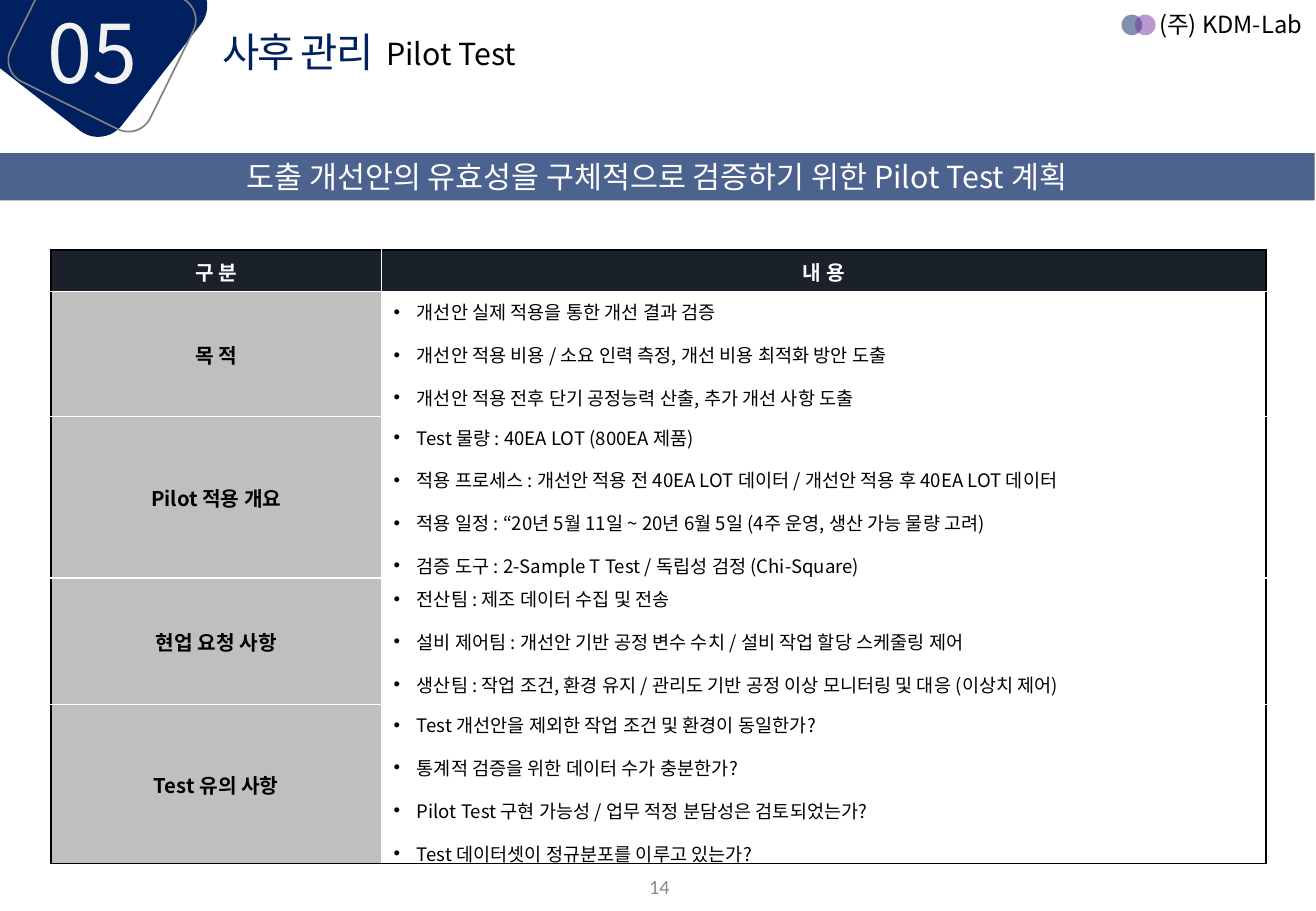
from dataclasses import dataclass

from lxml.etree import SubElement
from pptx import Presentation
from pptx.dml.color import RGBColor
from pptx.enum.shapes import MSO_SHAPE as Shape
from pptx.enum.text import MSO_ANCHOR as Anchor, MSO_AUTO_SIZE as AutoSize, PP_ALIGN as Align
from pptx.oxml.ns import qn
from pptx.util import Inches, Pt


@dataclass(frozen=True)
class Theme:
    font: str = "Noto Sans CJK KR"
    number_font: str = "Calibri"
    navy: str = "002060"
    purple: str = "7030A0"
    header: str = "1B212B"
    label: str = "BFBFBF"
    outline: str = "808080"
    muted: str = "8C8C8C"
    pale: str = "F2F2F2"
    white: str = "FFFFFF"
    black: str = "000000"
    section_size: int = 48
    title_size: int = 24
    subtitle_size: int = 18
    company_size: int = 14
    label_size: int = 12
    body_size: int = 11


class SlideBuilder:
    def __init__(self, slide, theme):
        self.slide = slide
        self.theme = theme

    def add_words(self, paragraph, text, size, color, bold=False, font=None, spacing=None):
        """Add one run with its type style."""
        run = paragraph.add_run()
        run.text = text
        face = font or self.theme.font
        style = {"name": face, "size": Pt(size), "bold": bold}
        for key, value in style.items():
            setattr(run.font, key, value)
        run.font.color.rgb = RGBColor.from_string(color)
        props = run._r.get_or_add_rPr()
        SubElement(props, qn("a:ea")).set("typeface", face)
        if spacing is not None:
            props.set("spc", str(spacing))

    def shape(self, kind, box, fill=None, line=None, alpha=None, rotation=0):
        item = self.slide.shapes.add_shape(kind, *map(Inches, box))
        item.shadow.inherit = False
        item.rotation = rotation
        if fill:
            item.fill.solid()
            item.fill.fore_color.rgb = RGBColor.from_string(fill)
            if alpha:
                color = item._element.spPr.find(".//" + qn("a:srgbClr"))
                SubElement(color, qn("a:alpha")).set("val", str(alpha * 1000))
        else:
            item.fill.background()
        if line:
            item.line.color.rgb = RGBColor.from_string(line)
            item.line.width = Pt(1)
        else:
            item.line.fill.background()
        return item

    def text(self, box, text, size, color, align=Align.LEFT, anchor=Anchor.TOP,
             wrap=True, grow=True, **style):
        frame = self.slide.shapes.add_textbox(*map(Inches, box)).text_frame
        layout = {
            "word_wrap": wrap,
            "vertical_anchor": anchor,
            "auto_size": AutoSize.SHAPE_TO_FIT_TEXT if grow else AutoSize.NONE,
        }
        for key, value in layout.items():
            setattr(frame, key, value)
        frame.paragraphs[0].alignment = align
        self.add_words(frame.paragraphs[0], text, size, color, **style)

    def banner(self, box, text):
        band = self.shape(Shape.RECTANGLE, box, self.theme.navy, alpha=70)
        band.text_frame.vertical_anchor = Anchor.MIDDLE
        paragraph = band.text_frame.paragraphs[0]
        paragraph.alignment = Align.CENTER
        self.add_words(paragraph, text, self.theme.subtitle_size, self.theme.white)

    def cell(self, cell, lines, fill, color, borders, bulleted=False):
        theme = self.theme
        cell.vertical_anchor = Anchor.MIDDLE
        frame = cell.text_frame
        for index, line in enumerate(lines):
            paragraph = frame.add_paragraph() if index else frame.paragraphs[0]
            paragraph.line_spacing = 1.03
            if index:
                paragraph.space_before = Pt(9)
            if bulleted:
                props = paragraph._p.get_or_add_pPr()
                props.set("marL", str(Inches(0.19)))
                props.set("indent", str(Inches(-0.19)))
                SubElement(props, qn("a:buFont")).set("typeface", "Arial")
                SubElement(props, qn("a:buChar")).set("char", "•")
            else:
                paragraph.alignment = Align.CENTER
            size = theme.body_size if bulleted else theme.label_size
            self.add_words(paragraph, line, size, color, bold=not bulleted)
        # Borders must precede the fill in the cell properties
        props = cell._tc.get_or_add_tcPr()
        for side, border in zip(("lnL", "lnR", "lnT", "lnB"), borders):
            edge = SubElement(props, qn("a:" + side), w=str(Pt(1)))
            paint = SubElement(edge, qn("a:solidFill"))
            SubElement(paint, qn("a:srgbClr")).set("val", border)
        if fill:
            cell.fill.solid()
            cell.fill.fore_color.rgb = RGBColor.from_string(fill)
        else:
            cell.fill.background()

    def plan_table(self, box, widths, heights, headings, topics):
        theme = self.theme
        rows = [(headings[0], [headings[1]]), *topics]
        table = self.slide.shapes.add_table(len(rows), 2, *map(Inches, box)).table
        table.horz_banding = False
        for column, width in zip(table.columns, widths):
            column.width = Inches(width)
        for row, height in zip(table.rows, heights):
            row.height = Inches(height)
        for index, (label, details) in enumerate(rows):
            is_header = index == 0
            top = theme.black if is_header else theme.white
            bottom = theme.black if index == len(rows) - 1 else theme.white
            color = theme.white if is_header else theme.black
            self.cell(table.cell(index, 0), [label],
                      theme.header if is_header else theme.label, color,
                      (theme.black, theme.white, top, bottom))
            self.cell(table.cell(index, 1), details,
                      theme.header if is_header else None, color,
                      (theme.white, theme.black, top, bottom), bulleted=not is_header)


TOPICS = [
    ("목 적", [
        "개선안 실제 적용을 통한 개선 결과 검증",
        "개선안 적용 비용 / 소요 인력 측정, 개선 비용 최적화 방안 도출",
        "개선안 적용 전후 단기 공정능력 산출, 추가 개선 사항 도출"]),
    ("Pilot 적용 개요", [
        "Test 물량 : 40EA LOT (800EA 제품)",
        "적용 프로세스 : 개선안 적용 전 40EA LOT 데이터 / 개선안 적용 후 40EA LOT 데이터",
        "적용 일정 : “20년 5월 11일 ~ 20년 6월 5일 (4주 운영, 생산 가능 물량 고려)",
        "검증 도구 : 2-Sample T Test / 독립성 검정 (Chi-Square)"]),
    ("현업 요청 사항", [
        "전산팀 : 제조 데이터 수집 및 전송",
        "설비 제어팀 : 개선안 기반 공정 변수 수치 / 설비 작업 할당 스케줄링 제어",
        "생산팀 : 작업 조건, 환경 유지 / 관리도 기반 공정 이상 모니터링 및 대응 (이상치 제어)"]),
    ("Test 유의 사항", [
        "Test 개선안을 제외한 작업 조건 및 환경이 동일한가?",
        "통계적 검증을 위한 데이터 수가 충분한가?",
        "Pilot Test 구현 가능성 / 업무 적정 분담성은 검토되었는가?",
        "Test 데이터셋이 정규분포를 이루고 있는가?"]),
]


def main():
    deck = Presentation()
    deck.slide_width, deck.slide_height = Inches(10.83), Inches(7.5)
    theme = Theme()
    page = SlideBuilder(deck.slides.add_slide(deck.slide_layouts[6]), theme)

    # Section badge
    page.shape(Shape.ROUNDED_RECTANGLE, (-0.03, -0.58, 1.55, 1.48), theme.navy, rotation=308)
    page.shape(Shape.ROUNDED_RECTANGLE, (0.24, -0.31, 1.2, 1.28), line=theme.outline, rotation=296.3)
    page.text((0.29, -0.03, 1.16, 0.91), "05", theme.section_size, theme.pale)

    # Title and company mark
    page.text((1.73, 0.17, 7.07, 0.5), "사후 관리", theme.title_size, theme.navy,
              anchor=Anchor.MIDDLE, spacing=-100)
    page.text((9.44, 0.03, 1.41, 0.34), "(주) KDM-Lab", theme.company_size, theme.black,
              align=Align.JUSTIFY, wrap=False)
    for left, color in ((9.23, theme.navy), (9.34, theme.purple)):
        page.shape(Shape.OVAL, (left, 0.12, 0.17, 0.17), color, alpha=49)
    page.text((3.08, 0.24, 1.29, 0.4), "Pilot Test", theme.subtitle_size, theme.black, wrap=False)

    # Key message
    page.banner((-0.01, 1.26, 10.83, 0.39), "도출 개선안의 유효성을 구체적으로 검증하기 위한 Pilot Test 계획")

    # Pilot plan
    page.plan_table((0.42, 2.06, 10, 5.05), (2.72, 7.28), (0.34, 1.03, 1.33, 1.04, 1.31),
                    ("구 분", "내 용"), TOPICS)

    # Page number
    page.text((3.17, 7.1, 2.44, 0.4), "14", theme.label_size, theme.muted, align=Align.RIGHT,
              anchor=Anchor.MIDDLE, grow=False, font=theme.number_font)

    deck.save("out.pptx")


if __name__ == "__main__":
    main()
